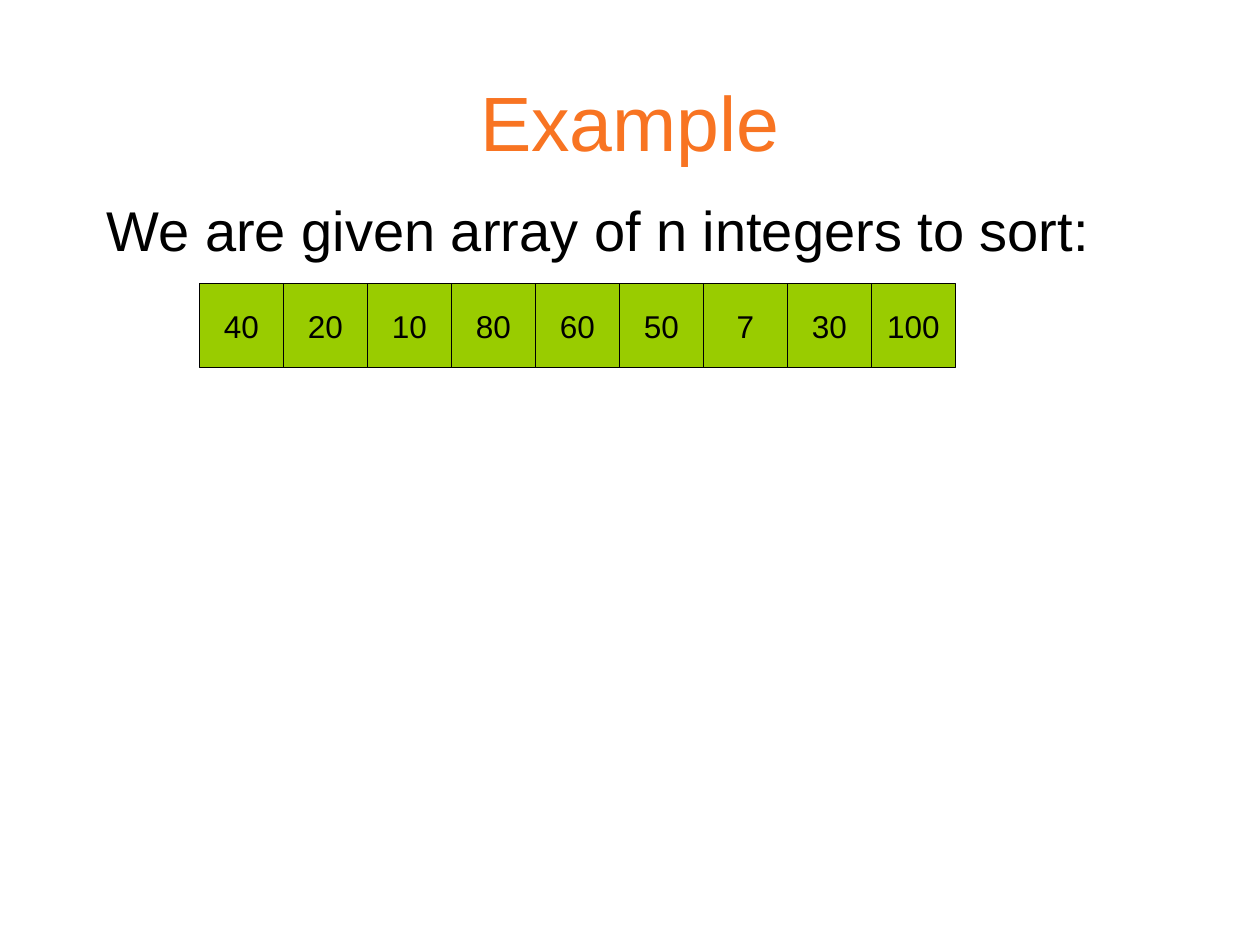
from dataclasses import dataclass

from pptx import Presentation
from pptx.dml.color import RGBColor
from pptx.enum.shapes import MSO_SHAPE as Preset
from pptx.enum.text import MSO_ANCHOR as Anchor, PP_ALIGN as Align
from pptx.slide import Slide
from pptx.text.text import TextFrame, _Paragraph as Paragraph
from pptx.util import Cm, Pt

COLORS = {"title": "F87422", "text": "000000", "cell": "99CC00", "line": "000000"}
FONT = "Arial"
VALUES = [40, 20, 10, 80, 60, 50, 7, 30, 100]
ROW_LEFT, ROW_TOP, ROW_WIDTH = 4.02, 5.72, 15.24
CELL_SIZE = ROW_WIDTH / len(VALUES)


@dataclass
class Box:
    left: float
    top: float
    width: float
    height: float

    def lengths(self) -> tuple[Cm, Cm, Cm, Cm]:
        return Cm(self.left), Cm(self.top), Cm(self.width), Cm(self.height)


@dataclass
class Label:
    text: str
    size: int
    color: str = "text"
    align: Align = Align.CENTER
    anchor: Anchor = Anchor.MIDDLE
    wrap: bool = True


def color_of(name: str) -> RGBColor:
    return RGBColor.from_string(COLORS[name])


def write_label(frame: TextFrame, label: Label) -> Paragraph:
    frame.word_wrap = label.wrap
    frame.vertical_anchor = label.anchor
    paragraph = frame.paragraphs[0]
    paragraph.alignment = label.align
    run = paragraph.add_run()
    run.text = label.text
    run.font.name = FONT
    run.font.size = Pt(label.size)
    run.font.color.rgb = color_of(label.color)
    return paragraph


def add_text(slide: Slide, box: Box, label: Label) -> Paragraph:
    return write_label(slide.shapes.add_textbox(*box.lengths()).text_frame, label)


def add_cell(slide: Slide, index: int, value: int) -> None:
    box = Box(ROW_LEFT + index * CELL_SIZE, ROW_TOP, CELL_SIZE, CELL_SIZE)
    shape = slide.shapes.add_shape(Preset.RECTANGLE, *box.lengths())
    shape.shadow.inherit = False
    shape.fill.solid()
    shape.fill.fore_color.rgb = color_of("cell")
    shape.line.color.rgb = color_of("line")
    shape.line.width = Pt(0.75)
    write_label(shape.text_frame, Label(str(value), 18, wrap=False))


def main() -> None:
    presentation = Presentation()
    presentation.slide_width = Cm(25.4)
    presentation.slide_height = Cm(19.05)
    slide = presentation.slides.add_slide(presentation.slide_layouts[6])

    add_text(slide, Box(1.9, 0.85, 21.6, 3.18), Label("Example", 44, "title"))
    statement = Label("We are given array of n integers to sort:", 32,
                      align=Align.LEFT, anchor=Anchor.TOP)
    paragraph = add_text(slide, Box(1.9, 3.81, 21.6, 11.43), statement)
    paragraph.space_before = Pt(8)
    properties = paragraph._p.get_or_add_pPr()
    properties.set("marL", str(Cm(0.95)))
    properties.set("indent", str(Cm(-0.95)))

    for index, value in enumerate(VALUES):
        add_cell(slide, index, value)

    presentation.save("out.pptx")


if __name__ == "__main__":
    main()
